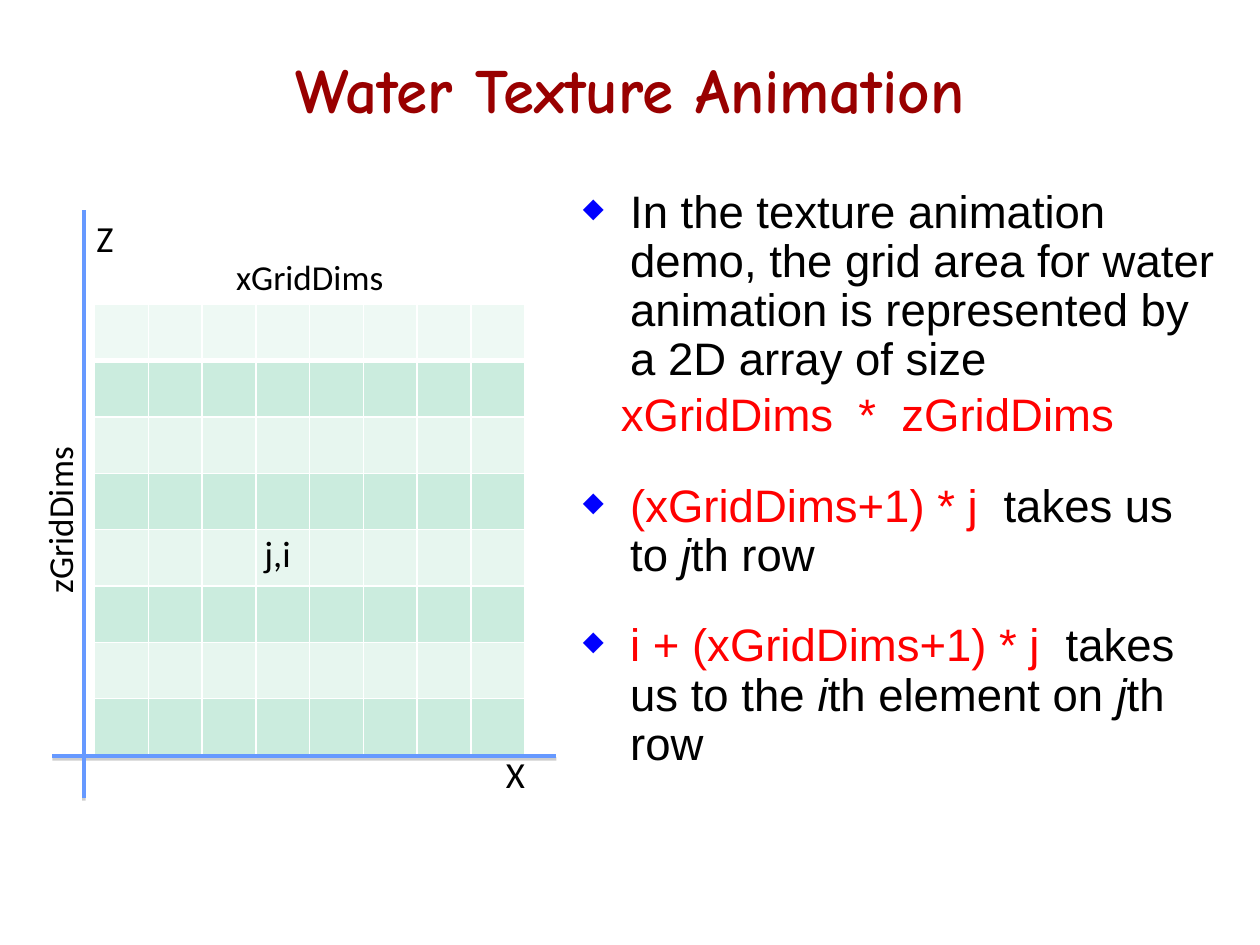
from dataclasses import dataclass
from itertools import product

from lxml.etree import SubElement as Sub
from pptx import Presentation as Deck
from pptx.dml.color import RGBColor as Color
from pptx.enum.shapes import MSO_CONNECTOR as Link
from pptx.enum.text import MSO_ANCHOR as Anchor, PP_ALIGN as Align
from pptx.oxml.ns import qn
from pptx.util import Pt


@dataclass(frozen=True)
class Theme:
    title: str = "990000"
    ink: str = "000000"
    code: str = "FF0000"
    mark: str = "0000FF"
    axis: str = "6699FF"
    shade: str = "808080"
    rule: str = "FFFFFF"
    head: str = "EEF9F4"
    dark: str = "CBECDE"
    light: str = "E7F6EF"
    title_font: str = "Comic Neue"
    body_font: str = "Arial"
    label_font: str = "Calibri"
    title_size: float = 36
    body_size: float = 26
    side_size: float = 20
    label_size: float = 21


@dataclass(frozen=True)
class Box:
    left: float
    top: float
    width: float
    height: float


@dataclass(frozen=True)
class Span:
    text: str
    color: str
    slant: bool = False


@dataclass(frozen=True)
class Point:
    spans: tuple[Span, ...]
    gap: float = 4
    mark: bool = True


@dataclass(frozen=True)
class Label:
    text: str
    box: Box
    size: float
    align: Align = Align.LEFT
    turn: float = 0


@dataclass(frozen=True)
class Axis:
    x1: float
    y1: float
    x2: float
    y2: float


THEME = Theme()
COUNT = 8
GRID = Box(54, 174, 246, 257.6)
HANG = 27

LABELS = (
    Label("X", Box(282, 426, 36, 36.6), THEME.label_size),
    Label("Z", Box(48, 120, 36, 36.6), THEME.label_size),
    Label("j,i", Box(144, 299.5, 48, 36.6), THEME.label_size),
    Label("xGridDims", Box(54, 142.5, 246, 31.5), THEME.side_size, Align.CENTER),
    Label("zGridDims", Box(-89, 281.5, 246, 31.5), THEME.side_size, Align.CENTER, 270),
)

AXES = (Axis(30, 432, 318, 432), Axis(48, 456, 48, 120))

POINTS = (
    Point((Span("In the texture animation demo, the grid area for water "
                "animation is represented by a 2D array of size", THEME.ink),)),
    Point((Span("xGridDims  *  zGridDims", THEME.code),), mark=False),
    Point((
        Span("(xGridDims+1) * j  ", THEME.code),
        Span("takes us to ", THEME.ink),
        Span("j", THEME.ink, True),
        Span("th row", THEME.ink),
    ), 23.7),
    Point((
        Span("i + (xGridDims+1) * j  ", THEME.code),
        Span("takes us to the ", THEME.ink),
        Span("i", THEME.ink, True),
        Span("th element on ", THEME.ink),
        Span("j", THEME.ink, True),
        Span("th row", THEME.ink),
    ), 23.7),
)


def add_frame(slide, box: Box, turn: float = 0):
    shape = slide.shapes.add_textbox(
        Pt(box.left), Pt(box.top), Pt(box.width), Pt(box.height))
    shape.rotation = turn
    shape.text_frame.word_wrap = True
    return shape.text_frame


def add_run(para, span: Span, font: str, size: float, bold: bool = False) -> None:
    run = para.add_run()
    run.text = span.text
    run.font.name = font
    run.font.size = Pt(size)
    run.font.bold = bold
    run.font.italic = span.slant
    run.font.color.rgb = Color.from_string(span.color)


def add_title(slide, text: str) -> None:
    frame = add_frame(slide, Box(54, 18, 612, 64.8))
    frame.vertical_anchor = Anchor.MIDDLE
    para = frame.paragraphs[0]
    para.alignment = Align.CENTER
    add_run(para, Span(text, THEME.title), THEME.title_font, THEME.title_size, True)


def set_mark(props) -> None:
    tint = Sub(props, qn("a:buClr"))
    Sub(tint, qn("a:srgbClr"), val=THEME.mark)
    Sub(props, qn("a:buSzPct"), val="60000")
    Sub(props, qn("a:buChar"), char="◆")


def add_points(slide, points: tuple[Point, ...]) -> None:
    frame = add_frame(slide, Box(326, 104.4, 378, 372))
    for num, point in enumerate(points):
        para = frame.add_paragraph() if num else frame.paragraphs[0]
        para.line_spacing = 0.9
        para.space_before = Pt(point.gap)
        props = para._p.get_or_add_pPr()
        props.set("marL", str(Pt(HANG)))
        props.set("indent", str(Pt(-HANG if point.mark else -5.3)))
        if point.mark:
            set_mark(props)
        for span in point.spans:
            add_run(para, span, THEME.body_font, THEME.body_size)


def set_edge(props, side: str, width: float) -> None:
    line = Sub(props, qn(f"a:ln{side}"), w=str(Pt(width)))
    fill = Sub(line, qn("a:solidFill"))
    Sub(fill, qn("a:srgbClr"), val=THEME.rule)


def add_grid(slide, box: Box) -> None:
    table = slide.shapes.add_table(
        COUNT, COUNT, Pt(box.left), Pt(box.top), Pt(box.width), Pt(box.height)).table
    table.first_row = table.horz_banding = False
    for col in table.columns:
        col.width = Pt(box.width / COUNT)
    for row in table.rows:
        row.height = Pt(box.height / COUNT)
    for row, col in product(range(COUNT), repeat=2):
        cell = table.cell(row, col)
        props = cell._tc.get_or_add_tcPr()
        edges = {"L": 1, "R": 1, "T": 3 if row == 1 else 1, "B": 3 if row == 0 else 1}
        for side, width in edges.items():
            set_edge(props, side, width)
        tint = THEME.head if row == 0 else THEME.dark if row % 2 else THEME.light
        cell.fill.solid()
        cell.fill.fore_color.rgb = Color.from_string(tint)


def add_axis(slide, axis: Axis) -> None:
    line = slide.shapes.add_connector(
        Link.STRAIGHT, Pt(axis.x1), Pt(axis.y1), Pt(axis.x2), Pt(axis.y2))
    line.line.color.rgb = Color.from_string(THEME.axis)
    line.line.width = Pt(2)
    effect = Sub(line._element.spPr, qn("a:effectLst"))
    shade = Sub(effect, qn("a:outerShdw"), blurRad="0", dist=str(Pt(1.6)),
                dir="5400000", rotWithShape="0")
    tint = Sub(shade, qn("a:srgbClr"), val=THEME.shade)
    Sub(tint, qn("a:alpha"), val="38000")


def add_label(slide, label: Label) -> None:
    para = add_frame(slide, label.box, label.turn).paragraphs[0]
    para.alignment = label.align
    add_run(para, Span(label.text, THEME.ink), THEME.label_font, label.size)


def main() -> None:
    deck = Deck()
    deck.slide_width, deck.slide_height = Pt(720), Pt(540)
    slide = deck.slides.add_slide(deck.slide_layouts[6])
    add_title(slide, "Water Texture Animation")
    add_points(slide, POINTS)
    add_grid(slide, GRID)
    for axis in AXES:
        add_axis(slide, axis)
    for label in LABELS:
        add_label(slide, label)
    deck.save("out.pptx")


if __name__ == "__main__":
    main()
